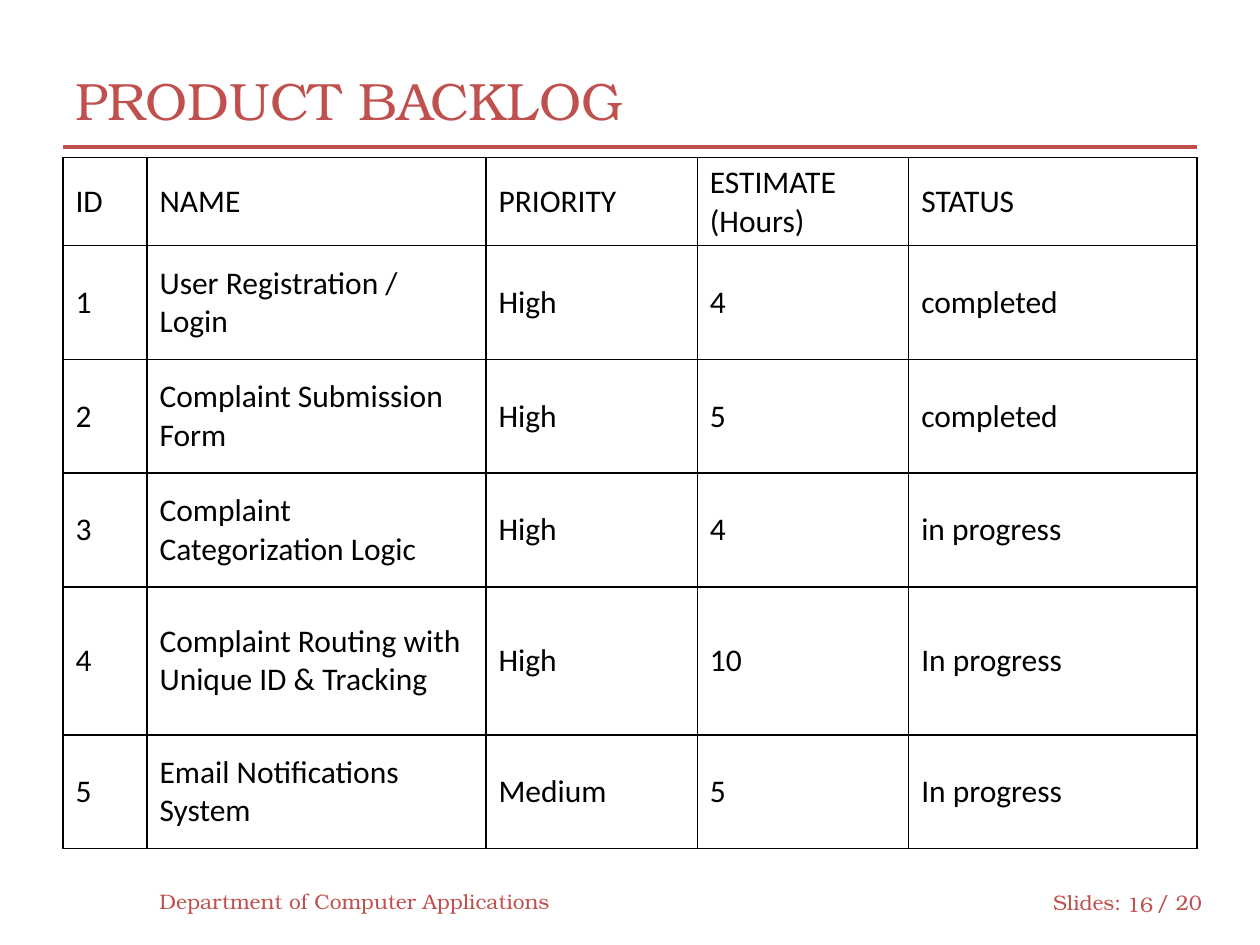
"""Build the product backlog slide with its table, title and footer."""
from dataclasses import dataclass

from lxml.etree import SubElement
from pptx import Presentation
from pptx.dml.color import RGBColor
from pptx.enum.shapes import MSO_CONNECTOR
from pptx.enum.text import MSO_ANCHOR, PP_ALIGN
from pptx.oxml.ns import qn
from pptx.util import Pt


@dataclass(frozen=True)
class Theme:
    accent: RGBColor = RGBColor(0xC0, 0x50, 0x4D)
    ink: RGBColor = RGBColor(0, 0, 0)
    paper: RGBColor = RGBColor(0xFF, 0xFF, 0xFF)
    display_font: str = "TeX Gyre Bonum"
    body_font: str = "Calibri"
    title_size: float = 30
    body_size: float = 18
    footer_size: float = 12
    rule_width: float = 1.75
    border_width: float = 1


def write(frame, text, *, font, size, color, align=PP_ALIGN.LEFT):
    frame.word_wrap = True
    paragraph = frame.paragraphs[0]
    paragraph.alignment = align
    run = paragraph.add_run()
    run.text = text
    run.font.name = font
    run.font.size = Pt(size)
    run.font.color.rgb = color


class SlideBuilder:
    def __init__(self, slide, theme):
        self.slide = slide
        self.theme = theme

    def label(self, text, left, top, width, height, size, align=PP_ALIGN.LEFT):
        box = self.slide.shapes.add_textbox(Pt(left), Pt(top), Pt(width), Pt(height))
        box.text_frame.vertical_anchor = MSO_ANCHOR.MIDDLE
        write(box.text_frame, text, font=self.theme.display_font, size=size,
              color=self.theme.accent, align=align)

    def rule(self, left, right, y):
        line = self.slide.shapes.add_connector(
            MSO_CONNECTOR.STRAIGHT, Pt(left), Pt(y), Pt(right), Pt(y))
        line.line.color.rgb = self.theme.accent
        line.line.width = Pt(self.theme.rule_width)
        SubElement(line._element.spPr, qn("a:effectLst"))

    def border(self, cell):
        properties = cell._tc.get_or_add_tcPr()
        for side in ("a:lnL", "a:lnR", "a:lnT", "a:lnB"):
            edge = SubElement(properties, qn(side), w=str(Pt(self.theme.border_width)))
            fill = SubElement(edge, qn("a:solidFill"))
            SubElement(fill, qn("a:srgbClr"), val=str(self.theme.ink))

    def table(self, rows, left, top, widths, heights):
        grid = self.slide.shapes.add_table(
            len(rows), len(widths), Pt(left), Pt(top),
            Pt(sum(widths)), Pt(sum(heights))).table
        grid.first_row = grid.horz_banding = False
        for column, width in zip(grid.columns, widths):
            column.width = Pt(width)
        for row, height, values in zip(grid.rows, heights, rows):
            row.height = Pt(height)
            for cell, value in zip(row.cells, values):
                self.border(cell)
                cell.fill.solid()
                cell.fill.fore_color.rgb = self.theme.paper
                cell.vertical_anchor = MSO_ANCHOR.MIDDLE
                write(cell.text_frame, value, font=self.theme.body_font,
                      size=self.theme.body_size, color=self.theme.ink)


BACKLOG = [
    ("ID", "NAME", "PRIORITY", "ESTIMATE (Hours)", "STATUS"),
    ("1", "User Registration / Login", "High", "4", "completed"),
    ("2", "Complaint Submission Form", "High", "5", "completed"),
    ("3", "Complaint Categorization Logic", "High", "4", "in progress"),
    ("4", "Complaint Routing with Unique ID & Tracking", "High", "10", "In progress"),
    ("5", "Email Notifications System", "Medium", "5", "In progress"),
]
FOOTER = [
    ("Slides:", 594.7, 501, 54, PP_ALIGN.LEFT),
    ("/ 20", 653.8, 501, 42, PP_ALIGN.LEFT),
    ("Department of Computer Applications", 84, 500.5, 240, PP_ALIGN.LEFT),
    ("16", 636, 502, 30, PP_ALIGN.RIGHT),
]


def main():
    deck = Presentation()
    deck.slide_width, deck.slide_height = Pt(720), Pt(540)
    theme = Theme()
    builder = SlideBuilder(deck.slides.add_slide(deck.slide_layouts[6]), theme)
    builder.rule(36, 684, 84)
    builder.label("PRODUCT BACKLOG", 36, 24, 648, 66, theme.title_size)
    for text, left, top, width, align in FOOTER:
        builder.label(text, left, top, width, 28.8, theme.footer_size, align)
    builder.table(BACKLOG, 36, 90, widths=(48, 193.7, 120.8, 120.8, 164.7),
                  heights=(48, 65, 65, 65, 84.5, 65))
    deck.save("out.pptx")


if __name__ == "__main__":
    main()
